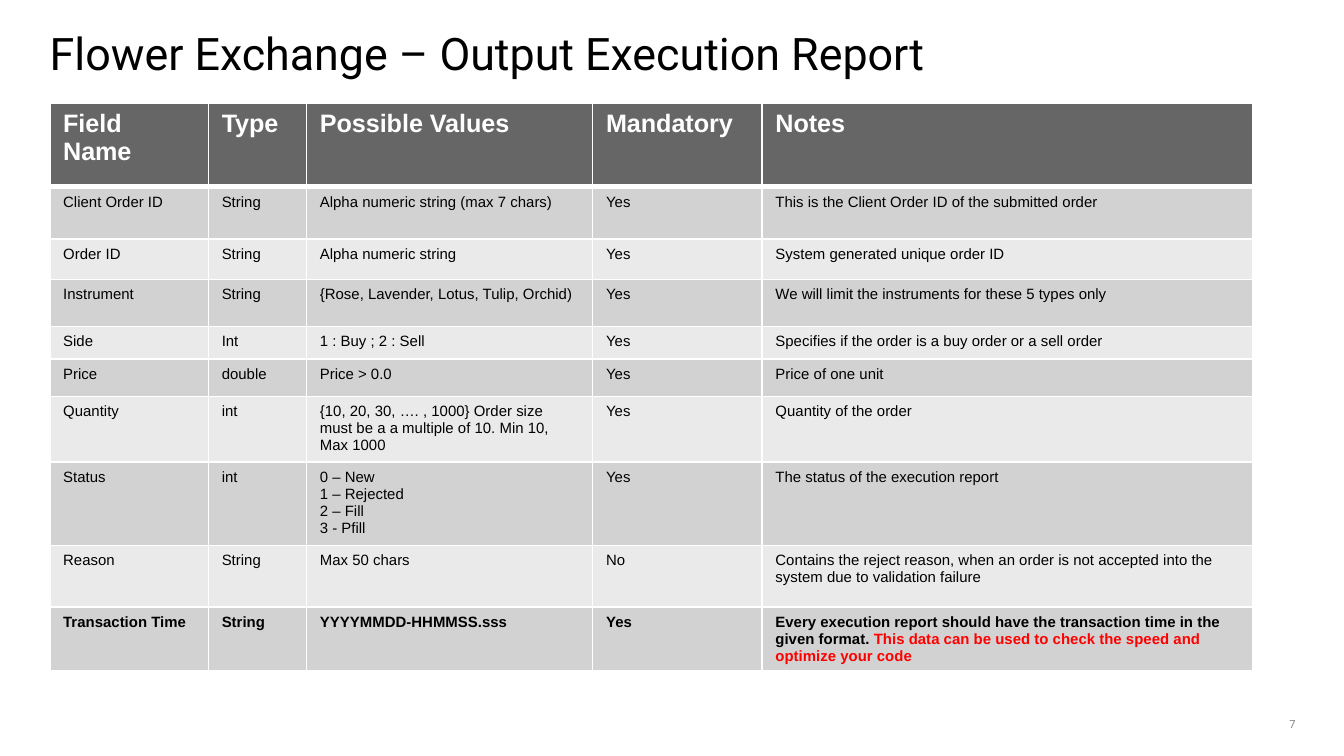
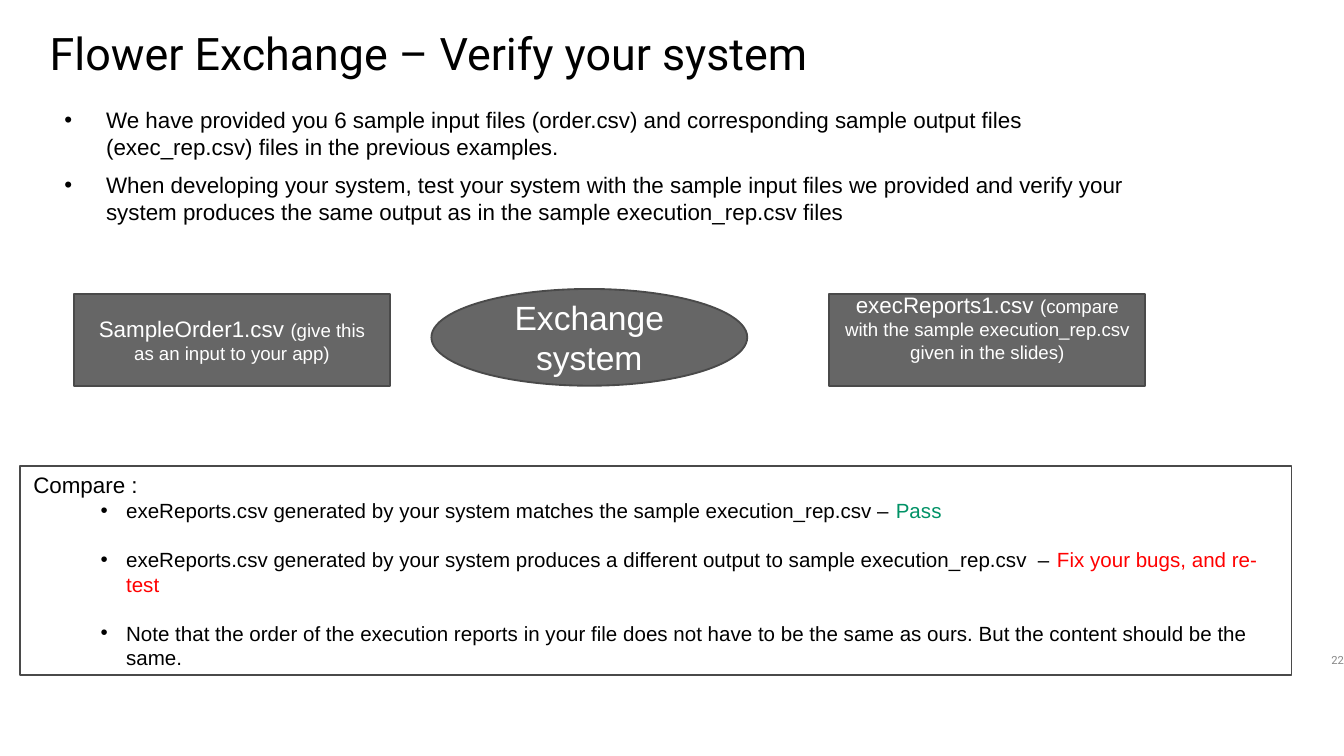
from dataclasses import dataclass

from lxml import etree
from pptx import Presentation
from pptx import util as u
from pptx.dml.color import RGBColor
from pptx.enum import shapes, text
from pptx.oxml import ns


@dataclass(frozen=True)
class Theme:
    title_font: str = "Roboto"
    body_font: str = "Arial"
    black: str = "000000"
    white: str = "FFFFFF"
    dark: str = "666666"
    outline: str = "4A4A4A"
    bands: tuple = ("D2D2D2", "EAEAEA")
    muted: str = "888888"
    red: str = "FF0000"
    green: str = "009266"
    title_size: float = 24
    number_size: float = 6
    header_size: float = 13.5
    cell_size: float = 8
    body_size: float = 12
    detail_size: float = 11
    small_size: float = 10
    system_size: float = 18


THEME = Theme()
TITLE_ONLY = 5

COLUMN_WIDTHS = (1.18, 0.73, 2.13, 1.26, 3.65)
ROW_HEIGHTS = (0.62, 0.39, 0.3, 0.35, 0.24, 0.28, 0.49, 0.62, 0.46, 0.46)
HEADER = ("Field Name", "Type", "Possible Values", "Mandatory", "Notes")
FIELDS = (
    ("Client Order ID", "String", "Alpha numeric string (max 7 chars)", "Yes",
     "This is the Client Order ID of the submitted order"),
    ("Order ID", "String", "Alpha numeric string", "Yes",
     "System generated unique order ID"),
    ("Instrument", "String", "{Rose, Lavender, Lotus, Tulip, Orchid)", "Yes",
     "We will limit the instruments for these 5 types only"),
    ("Side", "Int", "1 : Buy ; 2 : Sell", "Yes",
     "Specifies if the order is a buy order or a sell order"),
    ("Price", "double", "Price > 0.0", "Yes", "Price of one unit"),
    ("Quantity", "int",
     "{10, 20, 30, …. , 1000} Order size must be a a multiple of 10. Min 10, Max 1000",
     "Yes", "Quantity of the order"),
    ("Status", "int", "0 – New\n1 – Rejected\n2 – Fill\n3 - Pfill", "Yes",
     "The status of the execution report"),
    ("Reason", "String", "Max 50 chars", "No",
     "Contains the reject reason, when an order is not accepted into the system "
     "due to validation failure"),
    ("Transaction Time", "String", "YYYYMMDD-HHMMSS.sss", "Yes",
     "Every execution report should have the transaction time in the given format. "),
)
SPEED_NOTE = "This data can be used to check the speed and optimize your code"

STEPS = (
    "We have provided you 6 sample input files (order.csv) and corresponding sample "
    "output files (exec_rep.csv) files in the previous examples.",
    "When developing your system, test your system with the sample input files we "
    "provided and verify your system produces the same output as in the sample "
    "execution_rep.csv files",
)
OUTCOMES = (
    ("exeReports.csv generated by your system matches the sample execution_rep.csv – ",
     "Pass", THEME.green),
    ("exeReports.csv generated by your system produces a different output to sample "
     "execution_rep.csv  – ", "Fix your bugs, and re-test", THEME.red),
    ("Note that the order of the execution reports in your file does not have to be "
     "the same as ours. But the content should be the same.", "", THEME.black),
)


# Text helpers
def add_span(para, words, size, color=THEME.black, font=THEME.body_font, bold=False):
    span = para.add_run()
    span.text = words
    span.font.name = font
    span.font.size = u.Pt(size)
    span.font.bold = bold
    span.font.color.rgb = RGBColor.from_string(color)


def prepare_frame(frame, anchor, margins=(0, 0, 0, 0)):
    frame.word_wrap = True
    frame.auto_size = text.MSO_AUTO_SIZE.NONE
    frame.vertical_anchor = anchor
    (frame.margin_left, frame.margin_top,
     frame.margin_right, frame.margin_bottom) = map(u.Inches, margins)
    return frame.paragraphs[0]


def add_bullet(para, margin, hanging):
    """Call after paragraph spacing is set, so the elements stay in order."""
    properties = para._p.get_or_add_pPr()
    properties.set("marL", str(u.Inches(margin)))
    properties.set("indent", str(-u.Inches(hanging)))
    color = etree.SubElement(properties, ns.qn("a:buClr"))
    etree.SubElement(color, ns.qn("a:srgbClr"), val=THEME.black)
    etree.SubElement(properties, ns.qn("a:buFont"), typeface=THEME.body_font)
    etree.SubElement(properties, ns.qn("a:buChar"), char="•")


# Parts shared by the slides
def add_page(deck, title, number, number_box):
    page = deck.slides.add_slide(deck.slide_layouts[TITLE_ONLY])
    heading = page.shapes.title
    heading.left, heading.top, heading.width, heading.height = map(
        u.Inches, (0.37, 0.19, 9.26, 0.52))
    para = prepare_frame(heading.text_frame, text.MSO_ANCHOR.TOP)
    para.alignment = text.PP_ALIGN.LEFT
    add_span(para, title, THEME.title_size, font=THEME.title_font)

    box = page.shapes.add_textbox(*map(u.Inches, number_box))
    para = prepare_frame(box.text_frame, text.MSO_ANCHOR.BOTTOM)
    para.alignment = text.PP_ALIGN.RIGHT
    add_span(para, number, THEME.number_size, THEME.muted, THEME.title_font)
    return page


def add_panel(page, kind, box, fill=None, bottom_margin=0.05):
    panel = page.shapes.add_shape(kind, *map(u.Inches, box))
    panel.shadow.inherit = False
    if fill:
        panel.fill.solid()
        panel.fill.fore_color.rgb = RGBColor.from_string(fill)
    else:
        panel.fill.background()
    panel.line.color.rgb = RGBColor.from_string(THEME.outline)
    panel.line.width = u.Pt(1)
    para = prepare_frame(panel.text_frame, text.MSO_ANCHOR.MIDDLE,
                         (0.1, 0.05, 0.1, bottom_margin))
    return panel, para


# Field table
def format_cell(cell, fill, bottom_width):
    properties = cell._tc.get_or_add_tcPr()
    for side, width in (("L", 1), ("R", 1), ("T", 1), ("B", bottom_width)):
        border = etree.SubElement(properties, ns.qn(f"a:ln{side}"), w=str(u.Pt(width)))
        paint = etree.SubElement(border, ns.qn("a:solidFill"))
        etree.SubElement(paint, ns.qn("a:srgbClr"), val=THEME.white)
    cell.fill.solid()
    cell.fill.fore_color.rgb = RGBColor.from_string(fill)


def add_field_table(page, left, top):
    rows = (HEADER, *FIELDS)
    table = page.shapes.add_table(
        len(rows), len(HEADER), u.Inches(left), u.Inches(top),
        u.Inches(sum(COLUMN_WIDTHS)), u.Inches(sum(ROW_HEIGHTS))).table
    for column, width in zip(table.columns, COLUMN_WIDTHS):
        column.width = u.Inches(width)
    for index, (values, height) in enumerate(zip(rows, ROW_HEIGHTS)):
        table.rows[index].height = u.Inches(height)
        is_header, is_last = index == 0, index == len(rows) - 1
        size = THEME.header_size if is_header else THEME.cell_size
        color = THEME.white if is_header else THEME.black
        fill = THEME.dark if is_header else THEME.bands[(index - 1) % 2]
        for position, value in enumerate(values):
            cell = table.cell(index, position)
            format_cell(cell, fill, 3 if is_header else 1)
            for line, words in enumerate(value.split("\n")):
                frame = cell.text_frame
                para = frame.add_paragraph() if line else frame.paragraphs[0]
                add_span(para, words, size, color, bold=is_header or is_last)
    add_span(para, SPEED_NOTE, THEME.cell_size, THEME.red, bold=True)


# Verification steps
def add_steps(page, box):
    frame = page.shapes.add_textbox(*map(u.Inches, box)).text_frame
    para = prepare_frame(frame, text.MSO_ANCHOR.TOP)
    for index, step in enumerate(STEPS):
        if index:
            para = frame.add_paragraph()
        para.space_before = u.Pt(6 if index else 0)
        add_bullet(para, 0.31, 0.31)
        add_span(para, step, THEME.body_size)


# Input, system and output
def add_flow(page, left, top):
    width, height, rise = 2.35, 0.68, 0.04
    rectangle = shapes.MSO_SHAPE.RECTANGLE
    files = (
        (0, "SampleOrder1.csv ", "(give this as an input to your app)", 0.05),
        (5.62, "execReports1.csv ",
         "(compare with the sample execution_rep.csv given in the slides)", 0.24),
    )
    for offset, name, hint, bottom_margin in files:
        _, para = add_panel(page, rectangle, (left + offset, top, width, height),
                            THEME.dark, bottom_margin)
        para.alignment = text.PP_ALIGN.CENTER
        add_span(para, name, THEME.body_size, THEME.white)
        add_span(para, hint, THEME.small_size, THEME.white)

    system_box = (left + 2.66, top - rise, width, height + rise)
    _, para = add_panel(page, shapes.MSO_SHAPE.OVAL, system_box, THEME.dark)
    para.alignment = text.PP_ALIGN.CENTER
    add_span(para, "Exchange system", THEME.system_size, THEME.white)


# Comparison outcomes
def add_comparison(page, box):
    panel, para = add_panel(page, shapes.MSO_SHAPE.RECTANGLE, box)
    para.alignment = text.PP_ALIGN.LEFT
    add_span(para, "Compare :", THEME.body_size)
    for index, (finding, verdict, color) in enumerate(OUTCOMES):
        para = panel.text_frame.add_paragraph()
        para.alignment = text.PP_ALIGN.LEFT
        para.level = 1
        para.space_before = u.Pt(13 if index else 0)
        add_bullet(para, 0.69, 0.19)
        add_span(para, finding, THEME.detail_size)
        if verdict:
            add_span(para, verdict, THEME.detail_size, color)


def build_report_page(deck):
    page = add_page(deck, "Flower Exchange – Output Execution Report", "7",
                    (9.24, 5.19, 0.4, 0.25))
    add_field_table(page, 0.37, 0.77)


def build_verify_page(deck):
    page = add_page(deck, "Flower Exchange – Verify your system", "22",
                    (9.6, 4.71, 0.4, 0.25))
    add_steps(page, (0.48, 0.79, 8.24, 0.89))
    add_flow(page, 0.55, 2.19)
    add_comparison(page, (0.15, 3.47, 9.46, 1.55))


def main():
    deck = Presentation()
    deck.slide_width = u.Inches(10)
    deck.slide_height = deck.slide_width * 9 // 16
    build_report_page(deck)
    build_verify_page(deck)
    deck.save("out.pptx")


if __name__ == "__main__":
    main()
